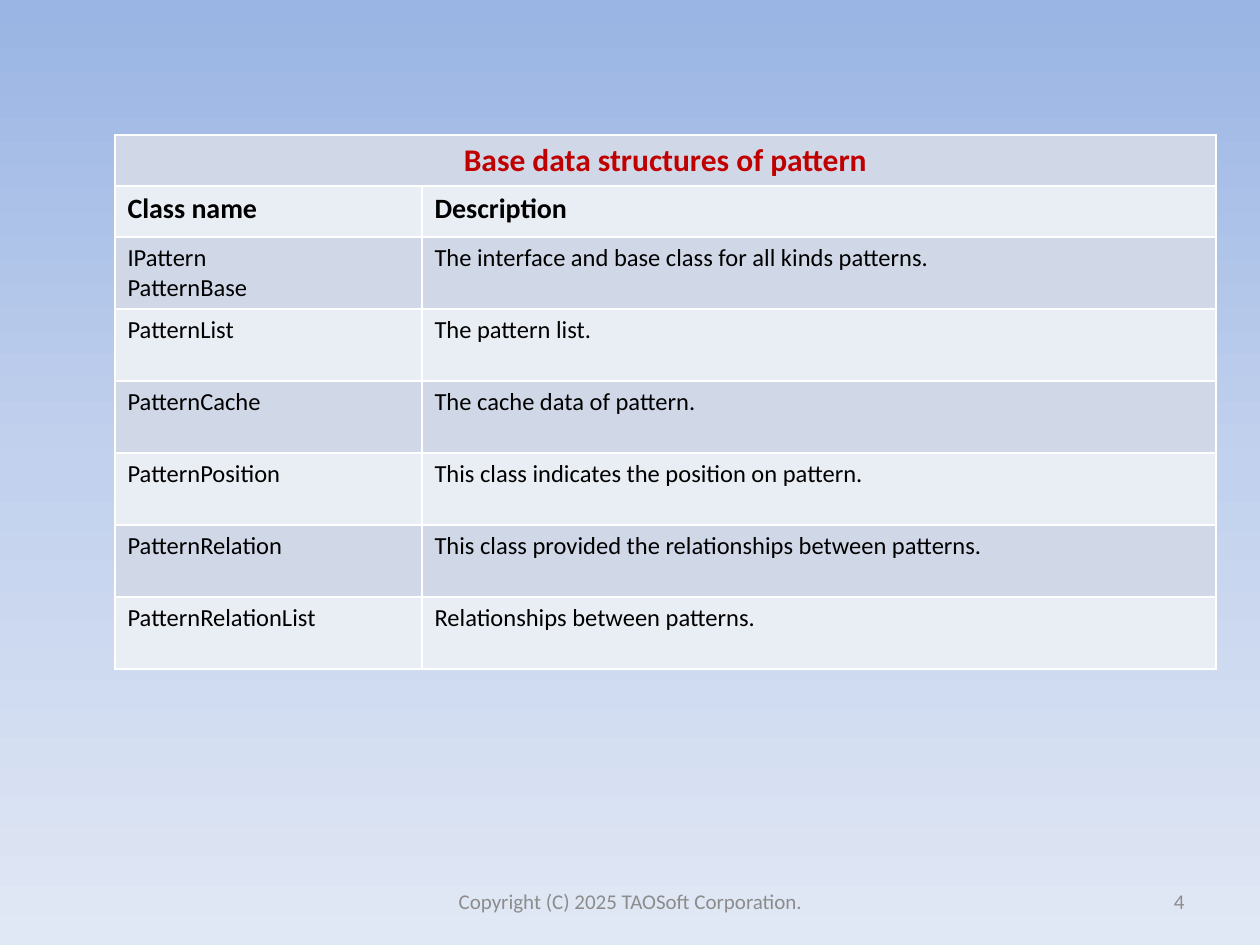
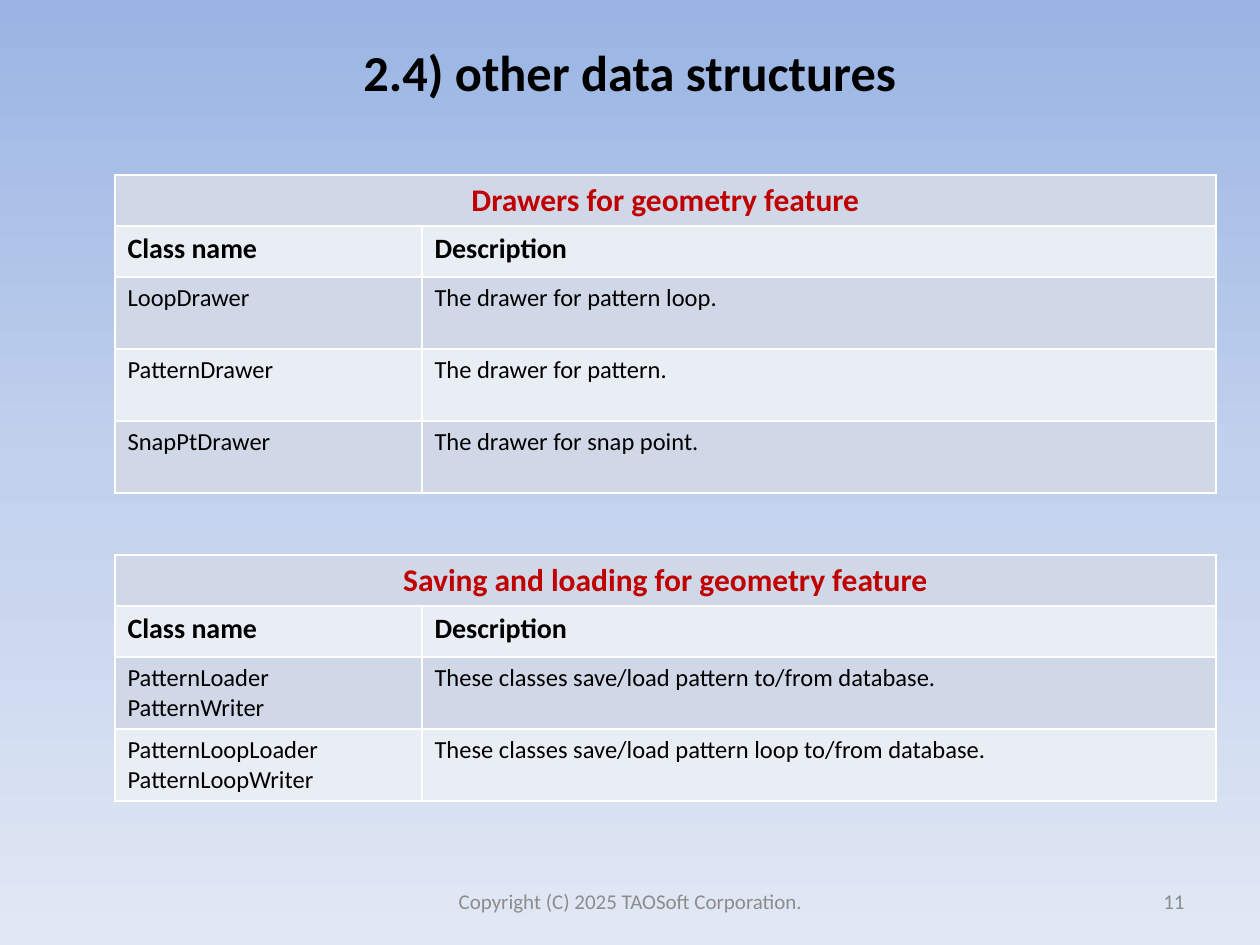
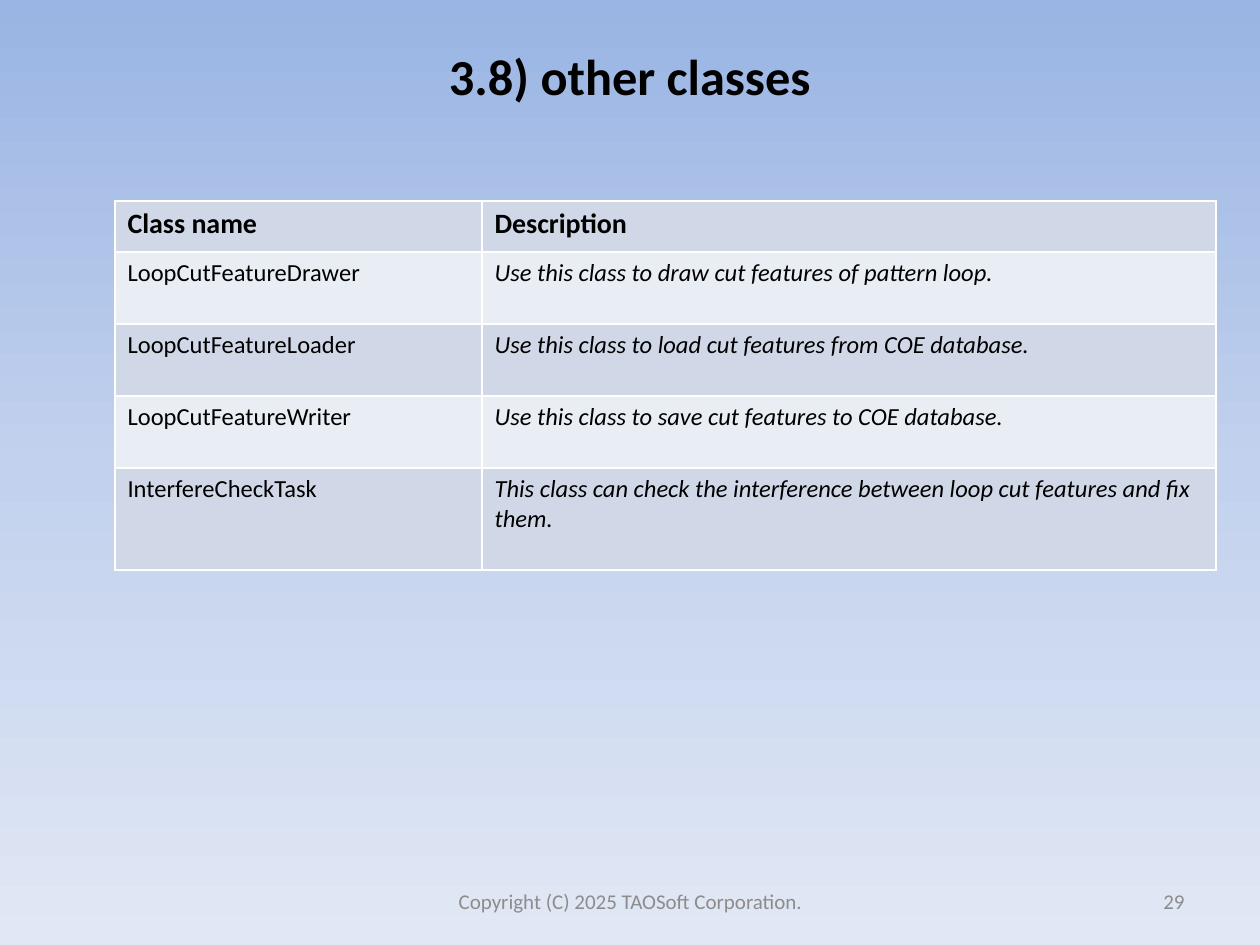
from copy import deepcopy
from dataclasses import dataclass

from pptx import Presentation
from pptx.dml.color import RGBColor
from pptx.enum import text
from pptx.oxml import parse_xml
from pptx.oxml.ns import nsdecls, qn
from pptx.util import Pt

EMU_PER_PX = 914400 / 126
PAGE_WIDTH, PAGE_HEIGHT = 1260, 945
TABLE_LEFT, TABLE_WIDTH = 115, 1101
HEADER_HEIGHT, ROW_HEIGHT, TALL_ROW_HEIGHT = 51, 72, 102
LEFT, CENTER, RIGHT = text.PP_ALIGN.LEFT, text.PP_ALIGN.CENTER, text.PP_ALIGN.RIGHT


@dataclass(frozen=True)
class Theme:
    font: str = "Calibri"
    sky: tuple = ("9AB5E4", "C2D1ED", "E1E8F5")
    bands: tuple = ("D0D8E8", "E9EDF4")
    ink: str = "000000"
    accent: str = "C00000"
    muted: str = "8C8C8C"
    border: str = "FFFFFF"
    title_size: float = 28.8
    caption_size: int = 18
    header_size: int = 16
    body_size: int = 14
    footer_size: int = 12


def px(length):
    return round(length * EMU_PER_PX)


class Deck:
    def __init__(self, theme):
        self.theme = theme
        self.deck = Presentation()
        self.deck.slide_width = px(PAGE_WIDTH)
        self.deck.slide_height = px(PAGE_HEIGHT)
        self.page = None

    def add_page(self, number):
        self.page = self.deck.slides.add_slide(self.deck.slide_layouts[6])
        self.paint_background()
        style = dict(size=self.theme.footer_size, color=self.theme.muted)
        self.add_text("Copyright (C) 2025 TAOSoft Corporation.", 431, 876, 399, 50, CENTER, **style)
        self.add_text(str(number), 903, 876, 294, 50, RIGHT, **style)

    def paint_background(self):
        fill = self.page.background.fill
        fill.gradient()
        fill.gradient_angle = 270
        stops = self.page.element.find(".//" + qn("a:gsLst"))
        stops.insert(1, deepcopy(stops[0]))
        for index, (stop, color) in enumerate(zip(fill.gradient_stops, self.theme.sky)):
            stop.position = index / 2
            stop.color.rgb = RGBColor.from_string(color)

    def set_text(self, frame, content, align, size, color, bold=False, italic=False):
        frame.text = content
        for para in frame.paragraphs:
            para.alignment = align
            for span in para.runs:
                font = span.font
                font.name, font.size = self.theme.font, Pt(size)
                font.bold, font.italic = bold, italic
                font.color.rgb = RGBColor.from_string(color)

    def add_text(self, content, left, top, width, height, align, **style):
        box = self.page.shapes.add_textbox(px(left), px(top), px(width), px(height))
        frame = box.text_frame
        frame.word_wrap = True
        frame.vertical_anchor = text.MSO_ANCHOR.MIDDLE
        self.set_text(frame, content, align, **style)

    def add_title(self, content, top):
        self.add_text(content, 63, top, 1134, 90, CENTER,
                      size=self.theme.title_size, color=self.theme.ink, bold=True)

    def style_cell(self, cell, band):
        """Draw the four borders, then fill with the band's colour."""
        properties = cell._tc.get_or_add_tcPr()
        for side in "LRTB":
            properties.append(parse_xml(
                f'<a:ln{side} {nsdecls("a")} w="12700"><a:solidFill>'
                f'<a:srgbClr val="{self.theme.border}"/></a:solidFill></a:ln{side}>'))
        cell.fill.solid()
        cell.fill.fore_color.rgb = RGBColor.from_string(self.theme.bands[band % 2])

    def add_class_table(self, top, classes, caption=None, name_width=307,
                        italic=False, last_height=ROW_HEIGHT):
        """Add a table of class names and descriptions, under an optional merged caption row."""
        theme = self.theme
        rows = [("Class name", "Description"), *classes]
        if caption:
            rows.insert(0, (caption, ""))
        header = 1 if caption else 0
        heights = [HEADER_HEIGHT] * (header + 1) + [ROW_HEIGHT] * (len(classes) - 1) + [last_height]
        table = self.page.shapes.add_table(
            len(rows), 2, px(TABLE_LEFT), px(top), px(TABLE_WIDTH), px(sum(heights))).table
        table.first_row = table.horz_banding = False
        for column, width in zip(table.columns, (name_width, TABLE_WIDTH - name_width)):
            column.width = px(width)
        for index, (row, height) in enumerate(zip(rows, heights)):
            table.rows[index].height = px(height)
            for column, content in enumerate(row):
                cell = table.cell(index, column)
                self.style_cell(cell, index)
                if index < header:
                    self.set_text(cell.text_frame, content, CENTER, theme.caption_size, theme.accent, True)
                elif index == header:
                    self.set_text(cell.text_frame, content, LEFT, theme.header_size, theme.ink, True)
                else:
                    self.set_text(cell.text_frame, content, LEFT, theme.body_size, theme.ink,
                                  italic=italic and column == 1)
        if caption:
            table.cell(0, 0).merge(table.cell(0, 1))


def main():
    deck = Deck(Theme())

    deck.add_page(4)
    deck.add_class_table(135, [
        ("IPattern\nPatternBase", "The interface and base class for all kinds patterns."),
        ("PatternList", "The pattern list."),
        ("PatternCache", "The cache data of pattern."),
        ("PatternPosition", "This class indicates the position on pattern."),
        ("PatternRelation", "This class provided the relationships between patterns."),
        ("PatternRelationList", "Relationships between patterns."),
    ], caption="Base data structures of pattern")

    deck.add_page(11)
    deck.add_title("2.4) other data structures", 26)
    deck.add_class_table(175, [
        ("LoopDrawer", "The drawer for pattern loop."),
        ("PatternDrawer", "The drawer for pattern."),
        ("SnapPtDrawer", "The drawer for snap point."),
    ], caption="Drawers for geometry feature")
    deck.add_class_table(555, [
        ("PatternLoader\nPatternWriter", "These classes save/load pattern to/from database."),
        ("PatternLoopLoader\nPatternLoopWriter",
         "These classes save/load pattern loop to/from database."),
    ], caption="Saving and loading for geometry feature")

    deck.add_page(29)
    deck.add_title("3.8) other classes", 30)
    deck.add_class_table(201, [
        ("LoopCutFeatureDrawer", "Use this class to draw cut features of pattern loop."),
        ("LoopCutFeatureLoader", "Use this class to load cut features from COE database."),
        ("LoopCutFeatureWriter", "Use this class to save cut features to COE database."),
        ("InterfereCheckTask",
         "This class can check the interference between loop cut features and fix them."),
    ], name_width=367, italic=True, last_height=TALL_ROW_HEIGHT)

    deck.deck.save("out.pptx")


if __name__ == "__main__":
    main()
